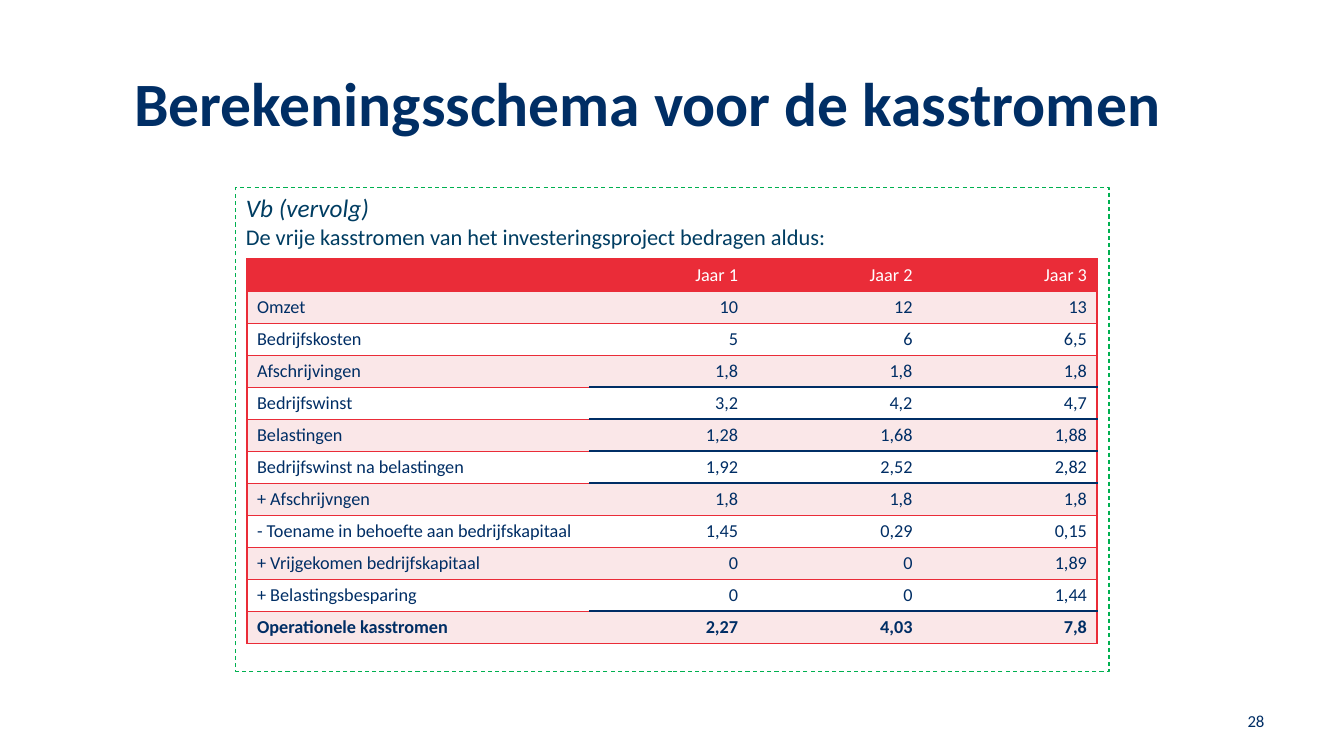
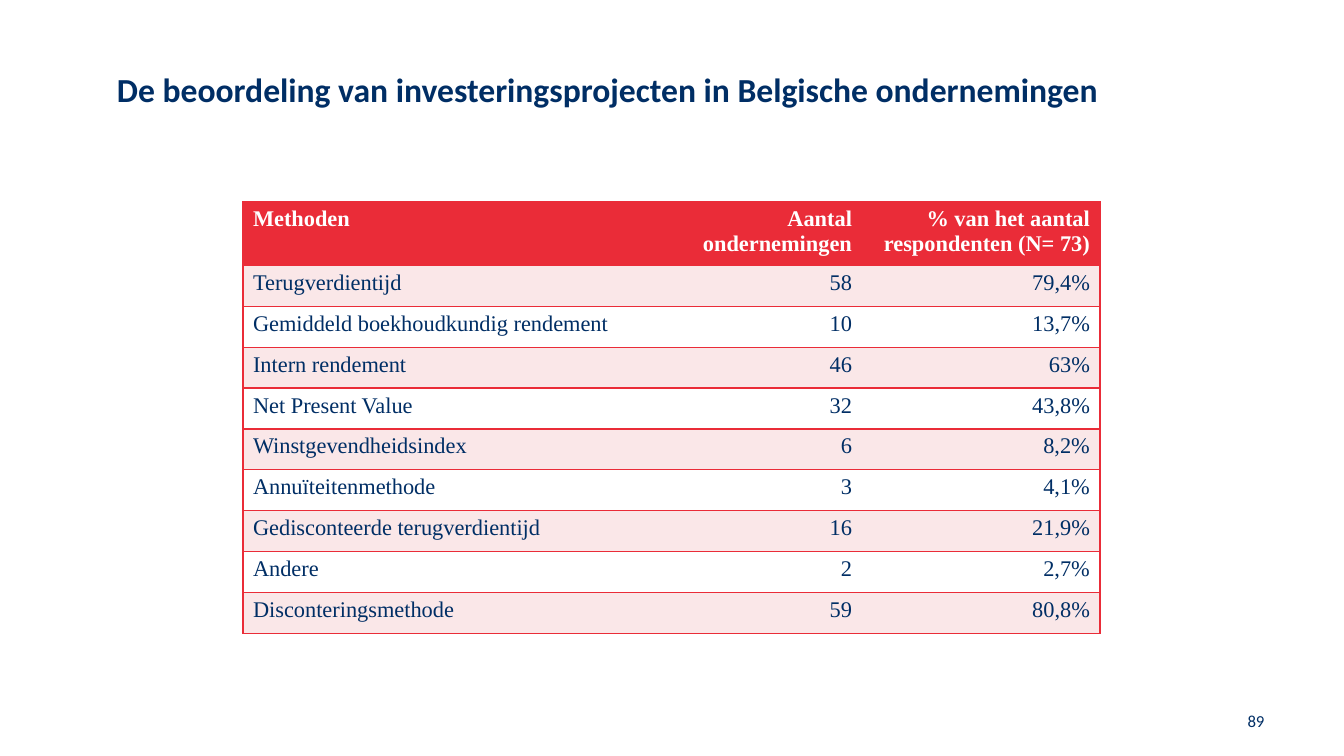
from lxml import etree
from pptx import Presentation
from pptx.dml.color import RGBColor
from pptx.enum.dml import MSO_LINE
from pptx.enum.shapes import MSO_SHAPE
from pptx.enum.text import MSO_ANCHOR, PP_ALIGN
from pptx.oxml.ns import qn
from pptx.util import Inches, Pt

LEFT, RIGHT = PP_ALIGN.LEFT, PP_ALIGN.RIGHT
TOP, MIDDLE = MSO_ANCHOR.TOP, MSO_ANCHOR.MIDDLE
RECT, DASH = MSO_SHAPE.RECTANGLE, MSO_LINE.DASH

NAVY, TEAL, GREEN = "002E65", "003D62", "00B050"
RED, PINK, WHITE = "EA2C38", "FAE7E8", "FFFFFF"
SANS, SERIF = "Calibri", "Times New Roman"
GRID, SUM_LINE = (RED, 0.96), (NAVY, 1.47)

CASH_FLOWS = [
    ("", "Jaar 1", "Jaar 2", "Jaar 3"),
    ("Omzet", "10", "12", "13"),
    ("Bedrijfskosten", "5", "6", "6,5"),
    ("Afschrijvingen", "1,8", "1,8", "1,8"),
    ("Bedrijfswinst", "3,2", "4,2", "4,7"),
    ("Belastingen", "1,28", "1,68", "1,88"),
    ("Bedrijfswinst na belastingen", "1,92", "2,52", "2,82"),
    ("+ Afschrijvngen", "1,8", "1,8", "1,8"),
    ("- Toename in behoefte aan bedrijfskapitaal", "1,45", "0,29", "0,15"),
    ("+ Vrijgekomen bedrijfskapitaal", "0", "0", "1,89"),
    ("+ Belastingsbesparing", "0", "0", "1,44"),
    ("Operationele kasstromen", "2,27", "4,03", "7,8"),
]
SUMS_BELOW = {3, 4, 5, 6, 10}

METHODS = [
    ("Methoden", "Aantal ondernemingen", "% van het aantal\nrespondenten (N= 73)"),
    ("Terugverdientijd", "58", "79,4%"),
    ("Gemiddeld boekhoudkundig rendement", "10", "13,7%"),
    ("Intern rendement", "46", "63%"),
    ("Net Present Value", "32", "43,8%"),
    ("Winstgevendheidsindex", "6", "8,2%"),
    ("Annuïteitenmethode", "3", "4,1%"),
    ("Gedisconteerde terugverdientijd", "16", "21,9%"),
    ("Andere", "2", "2,7%"),
    ("Disconteringsmethode", "59", "80,8%"),
]


def rgb(color):
    return RGBColor.from_string(color)


def set_font(font, color, size, **formats):
    font.color.rgb = rgb(color)
    for name, value in {"name": SANS, "size": Pt(size), **formats}.items():
        setattr(font, name, value)


def add_text(s, text, box, size, align=LEFT, anchor=TOP, spacing=1.0, inset=0.1, **formats):
    tf = s.shapes.add_textbox(*map(Inches, box)).text_frame
    tf.word_wrap = True
    tf.vertical_anchor = anchor
    tf.margin_left = tf.margin_right = Inches(inset)
    p = tf.paragraphs[0]
    p.alignment, p.line_spacing = align, spacing
    r = p.add_run()
    r.text = text
    set_font(r.font, NAVY, size, **formats)


def add_slide(prs, title, title_left, title_size, number):
    s = prs.slides.add_slide(prs.slide_layouts[6])
    add_text(s, title, (title_left, 0.68, 12.64 - title_left, 1.17), title_size,
             spacing=0.9, inset=0, bold=True)
    add_text(s, number, (9.64, 6.95, 3, 0.4), 12, align=RIGHT, anchor=MIDDLE)
    return s


def add_example_frame(s, box, lines):
    sp = s.shapes.add_shape(RECT, *map(Inches, box))
    sp.shadow.inherit = False
    sp.fill.background()
    sp.line.color.rgb = rgb(GREEN)
    sp.line.width = Pt(0.75)
    sp.line.dash_style = DASH
    tf = sp.text_frame
    tf.word_wrap = True
    tf.vertical_anchor = TOP
    for i, (text, size, italic) in enumerate(lines):
        p = tf.add_paragraph() if i else tf.paragraphs[0]
        p.alignment = LEFT
        r = p.add_run()
        r.text = text
        set_font(r.font, TEAL, size, italic=italic)


def set_borders(cell, left, right, top, bottom):
    """Draw each side from a (colour, points) pair; None hides the side."""
    tc_pr = cell._tc.get_or_add_tcPr()
    for i, (side, border) in enumerate(zip("LRTB", (left, right, top, bottom))):
        ln = etree.Element(qn(f"a:ln{side}"))
        if border:
            color, width = border
            ln.set("w", str(int(Pt(width))))
            fill = etree.SubElement(ln, qn("a:solidFill"))
            etree.SubElement(fill, qn("a:srgbClr"), val=color)
        else:
            etree.SubElement(ln, qn("a:noFill"))
        tc_pr.insert(i, ln)


def add_data_table(s, rows, box, widths, header_height, size, font, bold_rows, sums_below=()):
    table = s.shapes.add_table(len(rows), len(widths), *map(Inches, box)).table
    table.first_row = table.horz_banding = False
    for column, width in zip(table.columns, widths):
        column.width = Inches(width)
    body_height = (box[3] - header_height) / (len(rows) - 1)
    last = len(widths) - 1

    def rule_below(row, col):
        return SUM_LINE if col and row in sums_below else GRID

    for i, values in enumerate(rows):
        table.rows[i].height = Inches(body_height if i else header_height)
        background = (PINK if i % 2 else WHITE) if i else RED
        for j, value in enumerate(values):
            cell = table.cell(i, j)
            cell.fill.solid()
            cell.fill.fore_color.rgb = rgb(background)
            set_borders(cell, None if j else GRID, GRID if j == last else None,
                        rule_below(i - 1, j), rule_below(i, j))
            cell.text = value
            for p in cell.text_frame.paragraphs:
                p.alignment = RIGHT if j else LEFT
                set_font(p.font, NAVY if i else WHITE, size, name=font, bold=i in bold_rows)


def main():
    prs = Presentation()
    prs.slide_width, prs.slide_height = Inches(13.33), Inches(7.5)

    s = add_slide(prs, "Berekeningsschema voor de kasstromen", 1.33, 44, "28")
    add_example_frame(s, (2.34, 1.86, 8.66, 4.8), [
        ("Vb (vervolg)", 18, True),
        ("De vrije kasstromen van het investeringsproject bedragen aldus:", 16, False),
    ])
    add_data_table(s, CASH_FLOWS, (2.45, 2.57, 8.43, 3.81), (3.39, 1.58, 1.73, 1.73),
                   0.32, 13, SANS, {len(CASH_FLOWS) - 1}, SUMS_BELOW)

    s = add_slide(prs, "De beoordeling van investeringsprojecten in Belgische ondernemingen",
                  1.16, 24, "89")
    add_data_table(s, METHODS, (2.41, 2, 8.5, 4.24), (3.78, 2.36, 2.36),
                   0.59, 16, SERIF, {0})

    prs.save("out.pptx")


if __name__ == "__main__":
    main()
